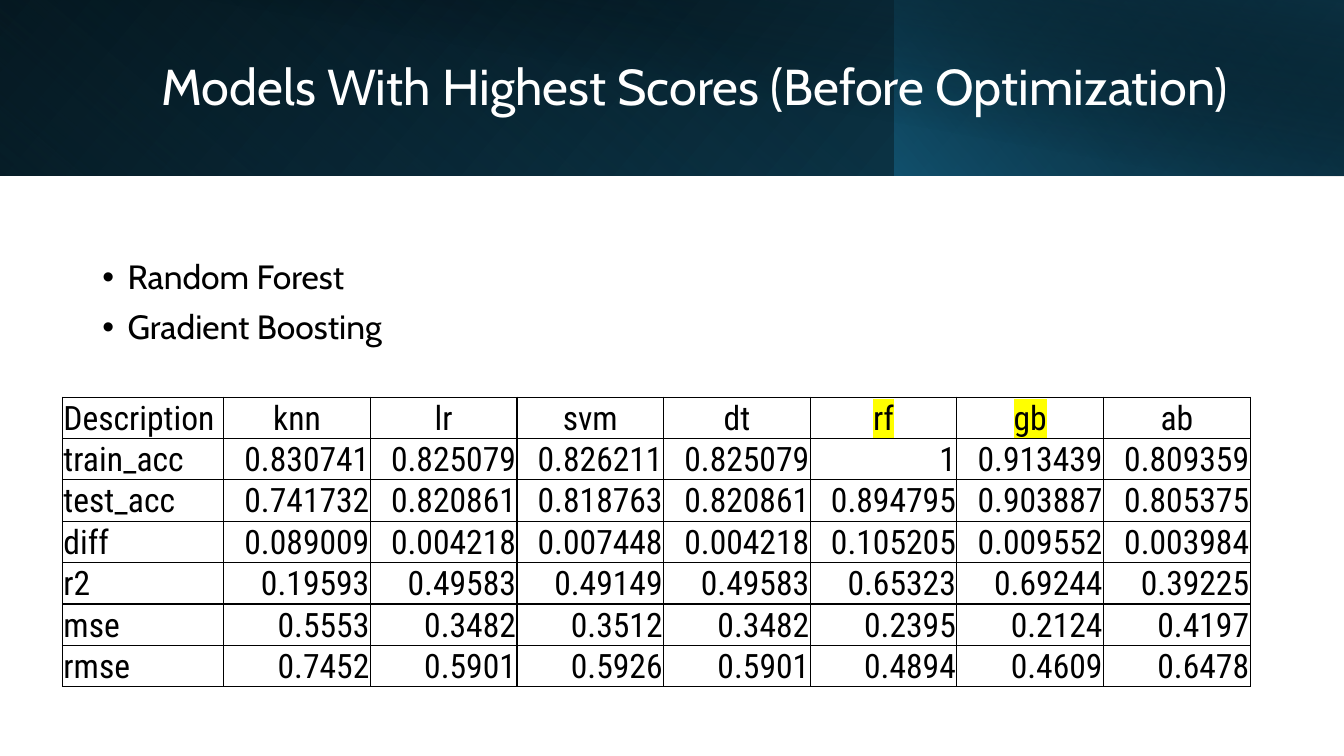
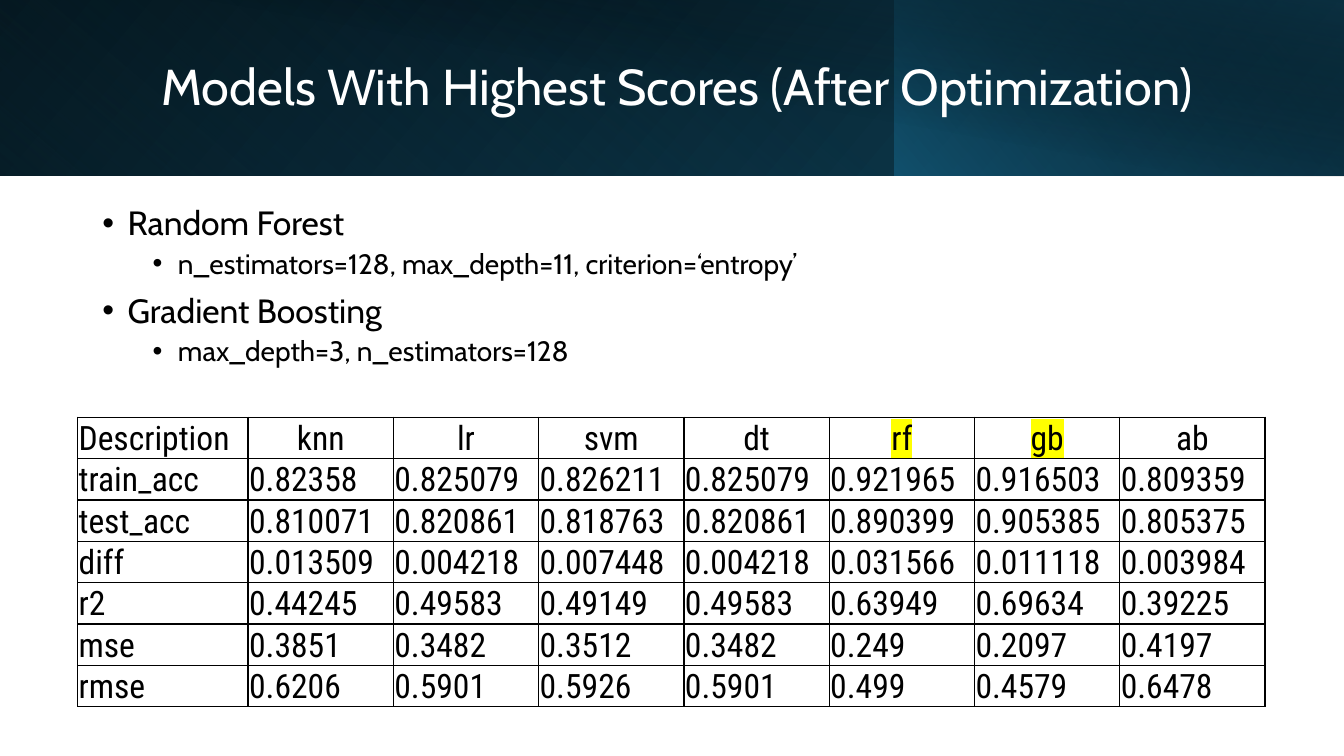
from lxml import etree
from pptx import Presentation
from pptx.dml.color import RGBColor
from pptx.enum.shapes import MSO_SHAPE
from pptx.enum.text import MSO_ANCHOR, MSO_AUTO_SIZE, PP_ALIGN
from pptx.oxml.ns import qn
from pptx.util import Inches, Pt

RECTANGLE = MSO_SHAPE.RECTANGLE
MIDDLE, BOTTOM = MSO_ANCHOR.MIDDLE, MSO_ANCHOR.BOTTOM
NO_FIT = MSO_AUTO_SIZE.NONE
LEFT, CENTER, RIGHT = PP_ALIGN.LEFT, PP_ALIGN.CENTER, PP_ALIGN.RIGHT

GRID_COLUMNS, GRID_ROWS = 80, 45
BLACK, WHITE, YELLOW = "000000", "FFFFFF", "FFFF00"
BLUE, DEEP_BLUE, NAVY = "156082", "104862", "0B3041"
BODY_FONT, TABLE_FONT = "Cabin", "Roboto Condensed"

BANDS = [
    ((0, 0, 80, 10.44), 0, True, 140, [(0, BLACK, 100), (1, DEEP_BLUE, 100)]),
    ((0, 0, 53.28, 10.44), 180, True, 230, [(0.2, BLUE, 0), (1, NAVY, 55)]),
    ((53.22, 0, 26.78, 10.44), 0, True, 220, [(0, BLUE, 66), (1, BLACK, 30)]),
    ((3, 0, 77, 10.5), 0, False, 280, [(0.5, BLACK, 0), (0.99, NAVY, 52)]),
]

HEADINGS = "Description knn lr svm dt rf gb ab"
BEST_MODELS = ("rf", "gb")
SCORES_BEFORE = [
    HEADINGS,
    "train_acc 0.830741 0.825079 0.826211 0.825079 1 0.913439 0.809359",
    "test_acc 0.741732 0.820861 0.818763 0.820861 0.894795 0.903887 0.805375",
    "diff 0.089009 0.004218 0.007448 0.004218 0.105205 0.009552 0.003984",
    "r2 0.19593 0.49583 0.49149 0.49583 0.65323 0.69244 0.39225",
    "mse 0.5553 0.3482 0.3512 0.3482 0.2395 0.2124 0.4197",
    "rmse 0.7452 0.5901 0.5926 0.5901 0.4894 0.4609 0.6478",
]
SCORES_AFTER = [
    HEADINGS,
    "train_acc 0.82358 0.825079 0.826211 0.825079 0.921965 0.916503 0.809359",
    "test_acc 0.810071 0.820861 0.818763 0.820861 0.890399 0.905385 0.805375",
    "diff 0.013509 0.004218 0.007448 0.004218 0.031566 0.011118 0.003984",
    "r2 0.44245 0.49583 0.49149 0.49583 0.63949 0.69634 0.39225",
    "mse 0.3851 0.3482 0.3512 0.3482 0.249 0.2097 0.4197",
    "rmse 0.6206 0.5901 0.5926 0.5901 0.499 0.4579 0.6478",
]


def color(value):
    return RGBColor.from_string(value)


class ScoreDeck:
    table_width = 70.7
    row_height = 2.4

    def __init__(self):
        self.deck = Presentation()
        self.deck.slide_width = Inches(13.33)
        self.deck.slide_height = Inches(7.5)
        self.page = None

    def across(self, columns):
        return round(self.deck.slide_width * columns / GRID_COLUMNS)

    def down(self, rows):
        return round(self.deck.slide_height * rows / GRID_ROWS)

    def place(self, left, top, width, height):
        return self.across(left), self.down(top), self.across(width), self.down(height)

    def span(self, para, text, size, font, ink=BLACK):
        span = para.add_run()
        span.text = text
        span.font.size = Pt(size)
        span.font.color.rgb = color(ink)
        span.font.name = font
        return span

    def highlight(self, span):
        ink = span.font._element.find(qn("a:solidFill"))
        mark = etree.Element(qn("a:highlight"))
        etree.SubElement(mark, qn("a:srgbClr"), val=YELLOW)
        ink.addnext(mark)

    def add_page(self, title):
        self.page = self.deck.slides.add_slide(self.deck.slide_layouts[5])
        for band in BANDS:
            self.band(*band)
        self.title(title)

    def band(self, place, rotation, flipped, angle, stops):
        band = self.page.shapes.add_shape(RECTANGLE, *self.place(*place))
        band.shadow.inherit = False
        band.line.fill.background()
        band.rotation = rotation
        properties = band._element.spPr
        if flipped:
            properties.find(qn("a:xfrm")).set("flipH", "1")
        band.fill.gradient()
        band.fill.gradient_angle = 360 - angle
        for stop, (position, shade, opacity) in zip(band.fill.gradient_stops, stops):
            stop.position = position
            stop.color.rgb = color(shade)
        for shade, stop in zip(properties.iter(qn("a:srgbClr")), stops):
            etree.SubElement(shade, qn("a:alpha"), val=str(stop[2] * 1000))

    def title(self, text):
        box = self.page.shapes.title
        box.left, box.top, box.width, box.height = self.place(9, 1.92, 64.92, 6.78)
        self.page.shapes._spTree.append(box._element)
        frame = box.text_frame
        frame.auto_size = NO_FIT
        frame.word_wrap = True
        frame.vertical_anchor = MIDDLE
        para = frame.paragraphs[0]
        para.alignment = LEFT
        para.line_spacing = 0.9
        self.span(para, text, 36, BODY_FONT, WHITE)

    def bullets(self, top, height, items):
        box = self.page.shapes.add_textbox(*self.place(5.5, top, 69, height))
        frame = box.text_frame
        frame.word_wrap = True
        for index, (level, text) in enumerate(items):
            para = frame.add_paragraph() if index else frame.paragraphs[0]
            para.level = level
            para.line_spacing = 0.9
            para.space_before = Pt(5 if level else 10)
            properties = para._p.get_or_add_pPr()
            properties.set("marL", str(Inches(0.25 + 0.5 * level)))
            properties.set("indent", str(Inches(-0.25)))
            etree.SubElement(properties, qn("a:buFont"), typeface="Arial")
            etree.SubElement(properties, qn("a:buChar"), char="•")
            self.span(para, text, 20 if level else 24, BODY_FONT)

    def table(self, left, top, label_width, lines, value_align):
        rows = [line.split() for line in lines]
        count = len(rows[0])
        place = self.place(left, top, self.table_width, self.row_height * len(rows))
        table = self.page.shapes.add_table(len(rows), count, *place).table
        table.first_row = table.horz_banding = False
        value_width = (self.table_width - label_width) / (count - 1)
        for index, column in enumerate(table.columns):
            column.width = self.across(value_width if index else label_width)
        for row_index, row in enumerate(rows):
            table.rows[row_index].height = self.down(self.row_height)
            for column_index, text in enumerate(row):
                align = value_align if row_index else CENTER
                self.cell(table.cell(row_index, column_index), text,
                          align if column_index else LEFT)

    def cell(self, cell, text, align):
        cell.fill.background()
        cell.vertical_anchor = BOTTOM
        cell.margin_left = cell.margin_right = cell.margin_top = Inches(0.01)
        cell.margin_bottom = 0
        para = cell.text_frame.paragraphs[0]
        para.alignment = align
        span = self.span(para, text, 24, TABLE_FONT)
        if text in BEST_MODELS:
            self.highlight(span)
        properties = cell._tc.get_or_add_tcPr()
        for index, side in enumerate(("lnL", "lnR", "lnT", "lnB")):
            border = etree.Element(qn("a:" + side), w=str(Pt(1)))
            fill = etree.SubElement(border, qn("a:solidFill"))
            etree.SubElement(fill, qn("a:srgbClr"), val=BLACK)
            properties.insert(index, border)


def main():
    scores = ScoreDeck()
    scores.add_page("Models With Highest Scores (Before Optimization)")
    scores.bullets(15.2, 7, [(0, "Random Forest"), (0, "Gradient Boosting")])
    scores.table(3.72, 23.64, 9.6, SCORES_BEFORE, RIGHT)

    scores.add_page("Models With Highest Scores (After Optimization)")
    scores.bullets(12, 11, [
        (0, "Random Forest"),
        (1, "n_estimators=128, max_depth=11, criterion=‘entropy’"),
        (0, "Gradient Boosting"),
        (1, "max_depth=3, n_estimators=128"),
    ])
    scores.table(4.62, 24.84, 10.15, SCORES_AFTER, LEFT)
    scores.deck.save("out.pptx")


if __name__ == "__main__":
    main()
